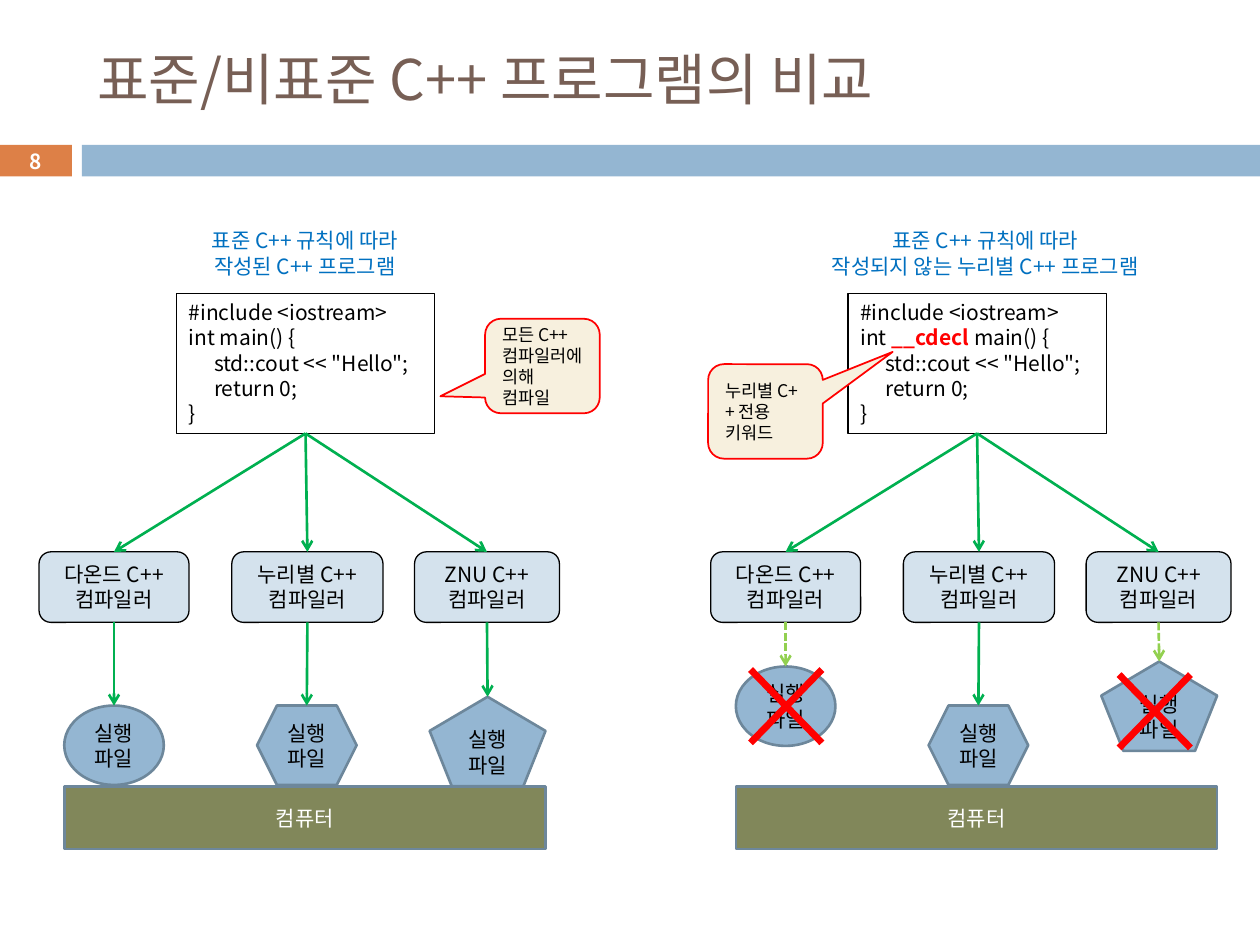
from lxml.etree import SubElement
from pptx import Presentation
from pptx.dml.color import RGBColor
from pptx.enum.dml import MSO_LINE
from pptx.enum.shapes import MSO_CONNECTOR, MSO_SHAPE
from pptx.enum.text import MSO_ANCHOR, PP_ALIGN
from pptx.oxml.ns import qn
from pptx.util import Inches, Pt

FONT = "Noto Sans CJK KR"
BLACK = RGBColor(0x00, 0x00, 0x00)
WHITE = RGBColor(0xFF, 0xFF, 0xFF)
RED = RGBColor(0xFF, 0x00, 0x00)
BROWN = RGBColor(0x77, 0x5F, 0x55)
ORANGE = RGBColor(0xDD, 0x80, 0x47)
BLUE = RGBColor(0x94, 0xB6, 0xD2)
PALE = RGBColor(0xD4, 0xE2, 0xED)
STEEL = RGBColor(0x6D, 0x87, 0x9B)
OLIVE = RGBColor(0x81, 0x87, 0x5A)
CREAM = RGBColor(0xF7, 0xF0, 0xDE)
LINK = RGBColor(0x00, 0x70, 0xC0)
GREEN = RGBColor(0x00, 0xB0, 0x50)
LIME = RGBColor(0x92, 0xD0, 0x50)

KEYWORD = "__cdecl "
CODE = "#include <iostream>\nint main() {\n\tstd::cout << \"Hello\";\n\treturn 0;\n}"
RULE = "표준 C++ 규칙에 따라\n"

# Left and width of each compiler; kind, left, top, width and height of its output
COMPILERS = [("다온드 C++", 0, 1.19), ("누리별 C++", 1.53, 1.2), ("ZNU C++", 2.98, 1.15)]
OUTPUTS = [(MSO_SHAPE.OVAL, 0.2, 3.84, 0.79, 0.63),
           (MSO_SHAPE.HEXAGON, 1.73, 3.84, 0.79, 0.63),
           (MSO_SHAPE.REGULAR_PENTAGON, 3.1, 3.77, 0.92, 0.71)]


def style(run, size, color, bold=False):
    font = run.font
    font.name, font.size, font.bold = FONT, Pt(size), bold
    font.color.rgb = color
    SubElement(run._r.get_or_add_rPr(), qn("a:ea")).set("typeface", FONT)


def write(shape, text, size=12, color=BLACK, align=PP_ALIGN.CENTER,
          anchor=MSO_ANCHOR.MIDDLE, wrap=True):
    frame = shape.text_frame
    frame.text = text
    frame.word_wrap = wrap
    frame.vertical_anchor = anchor
    for para in frame.paragraphs:
        para.alignment = align
        para.line_spacing = Pt(size * 1.2)
        for run in para.runs:
            style(run, size, color)


def draw(slide, kind, x, y, w, h, fill=None, line=None, width=0.75):
    shape = slide.shapes.add_shape(kind, Inches(x), Inches(y), Inches(w), Inches(h))
    shape.shadow.inherit = False
    if fill is None:
        shape.fill.background()
    else:
        shape.fill.solid()
        shape.fill.fore_color.rgb = fill
    if line is None:
        shape.line.fill.background()
    else:
        shape.line.color.rgb = line
        shape.line.width = Pt(width)
    return shape


def arrow(slide, start, end, dashed=False):
    """Point from the foot of one shape to the top of another."""
    link = slide.shapes.add_connector(
        MSO_CONNECTOR.STRAIGHT,
        start.left + start.width // 2, start.top + start.height,
        end.left + end.width // 2, end.top)
    link.begin_connect(start, 2)
    if end.auto_shape_type == MSO_SHAPE.ROUNDED_RECTANGLE:
        link.end_connect(end, 0)
    link.line.color.rgb = LIME if dashed else GREEN
    link.line.width = Pt(1.5)
    if dashed:
        link.line.dash_style = MSO_LINE.SQUARE_DOT
    SubElement(link.line._get_or_add_ln(), qn("a:tailEnd")).set("type", "arrow")
    SubElement(link._element.spPr, qn("a:effectLst"))


def header(slide, title, number):
    draw(slide, MSO_SHAPE.RECTANGLE, 0.65, 1.15, 9.35, 0.25, BLUE)
    badge = draw(slide, MSO_SHAPE.RECTANGLE, -0.01, 1.15, 0.58, 0.25, ORANGE)
    write(badge, number, 11.9, WHITE)
    badge.text_frame.paragraphs[0].runs[0].font.bold = True
    head = slide.shapes.title
    head.left, head.top = Inches(0.67), Inches(0.25)
    head.width, head.height = Inches(8.92), Inches(0.74)
    frame = head.text_frame
    frame.text = title
    frame.vertical_anchor = MSO_ANCHOR.MIDDLE
    frame.paragraphs[0].alignment = PP_ALIGN.LEFT
    style(frame.paragraphs[0].runs[0], 32, BROWN)


def listing(slide, x, y, keyword):
    """Show the source code, with an optional red keyword."""
    box = draw(slide, MSO_SHAPE.RECTANGLE, x, y, 2.05, 1.11, line=BLACK)
    write(box, CODE, align=PP_ALIGN.LEFT, anchor=MSO_ANCHOR.TOP)
    lines = box.text_frame.paragraphs
    if keyword:
        lines[1].text = "int "
        for part in (keyword, "main() {"):
            lines[1].add_run().text = part
        for run in lines[1].runs:
            marked = run.text == keyword
            style(run, 12, RED if marked else BLACK, marked)
    for para in lines[2:4]:
        tabs = SubElement(para._p.get_or_add_pPr(), qn("a:tabLst"))
        tab = SubElement(tabs, qn("a:tab"))
        tab.set("pos", str(Inches(0.2)))
        tab.set("algn", "l")
    return box


def callout(slide, x, y, text, tip):
    note = draw(slide, MSO_SHAPE.ROUNDED_RECTANGULAR_CALLOUT, x, y, 0.91, 0.75, CREAM, RED, 1)
    note.adjustments[0], note.adjustments[1] = tip
    write(note, text, 10, align=PP_ALIGN.LEFT)


def panel(slide, x, y, caption, shift, width, keyword="", failed=None):
    """Draw code, compilers, outputs and computer.

    failed maps an output's index to its lift and the nudge of its cross.
    """
    failed = failed or {}
    code = listing(slide, x + 1.09, y + 0.57, keyword)
    label = slide.shapes.add_textbox(Inches(x + 2.11 + shift - width / 2), Inches(y),
                                     Inches(width), Inches(0.5))
    write(label, RULE + caption, color=LINK, anchor=MSO_ANCHOR.TOP, wrap=False)
    base = draw(slide, MSO_SHAPE.RECTANGLE, x + 0.2, y + 4.48, 3.82, 0.5, OLIVE, STEEL, 1.5)
    write(base, "컴퓨터", color=WHITE)

    for i, (maker, output) in enumerate(zip(COMPILERS, OUTPUTS)):
        name, left, wide = maker
        tool = draw(slide, MSO_SHAPE.ROUNDED_RECTANGLE, x + left, y + 2.62, wide, 0.56,
                    PALE, BLACK)
        write(tool, name + "\n컴파일러", anchor=MSO_ANCHOR.TOP)
        arrow(slide, code, tool)

        kind, left, top, w, h = output
        lift, dx, dy = failed.get(i, (0, 0, 0))
        left, top = x + left, y + top - lift
        result = draw(slide, kind, left, top, w, h, BLUE, STEEL, 1.5)
        write(result, "실행파일")
        arrow(slide, tool, result, i in failed)
        if i in failed:
            cross = draw(slide, MSO_SHAPE.MATH_MULTIPLY, left + w / 2 - 0.55 + dx,
                         top + h / 2 - 0.56 + dy, 1.09, 1.12, RED)
            cross.adjustments[0] = 0.05


def main():
    deck = Presentation()
    deck.slide_width, deck.slide_height = Inches(10), Inches(7.5)
    slide = deck.slides.add_slide(deck.slide_layouts[5])
    header(slide, "표준/비표준 C++ 프로그램의 비교", "8")
    panel(slide, 0.31, 1.76, "작성된 C++ 프로그램", 0, 1.9)
    panel(slide, 5.64, 1.76, "작성되지 않는 누리별 C++ 프로그램", 0.07, 2.97, KEYWORD,
          {0: (0.31, 0.01, 0), 2: (0.28, -0.03, 0.04)})
    callout(slide, 3.85, 2.53, "모든 C++ 컴파일러에 의해 컴파일", (-0.89, 0.32))
    callout(slide, 5.62, 2.89, "누리별 C++ 전용\n키워드", (1.11, -0.63))
    deck.save("out.pptx")


if __name__ == "__main__":
    main()
